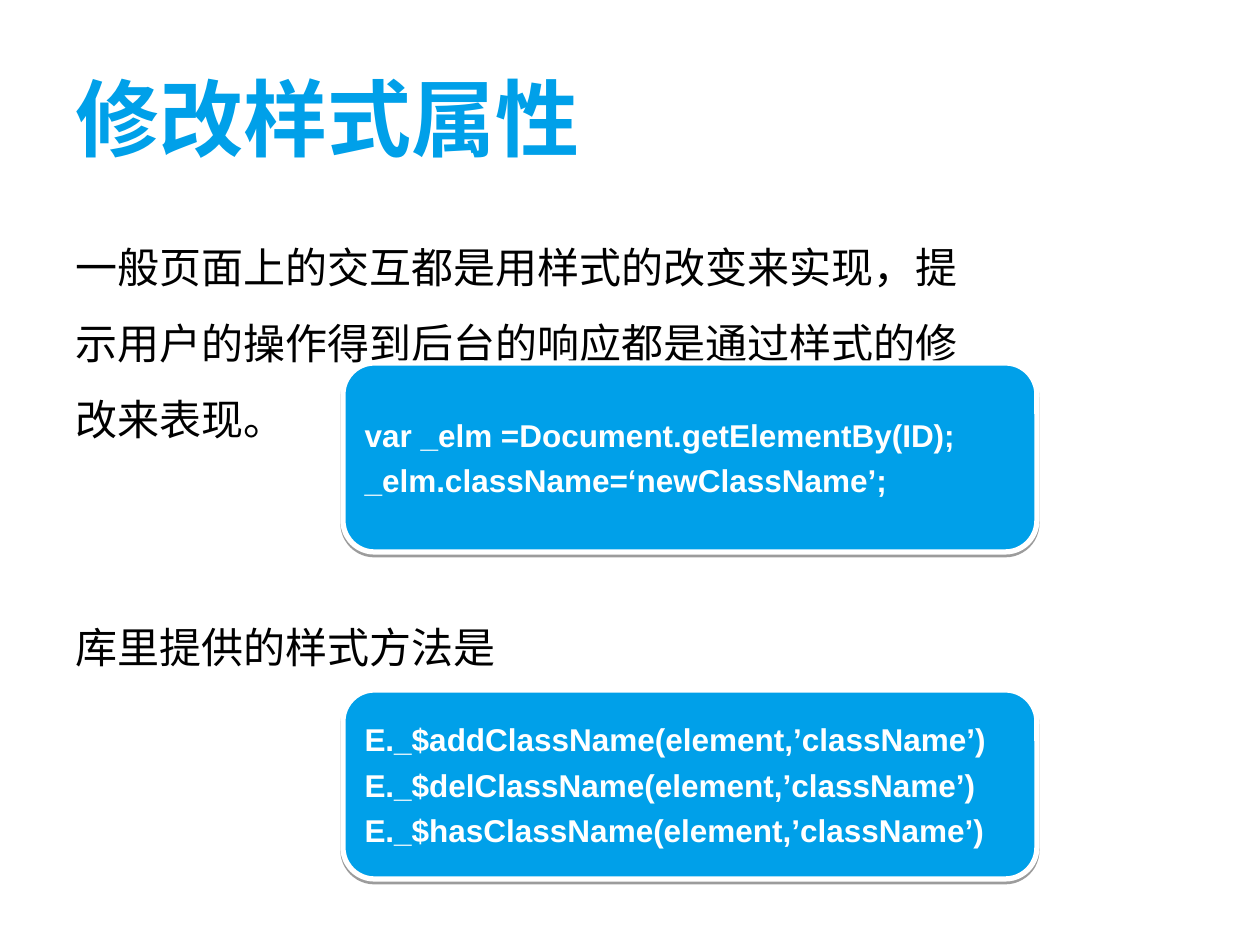
from lxml.etree import SubElement
from pptx import Presentation
from pptx.dml.color import RGBColor
from pptx.enum.shapes import MSO_SHAPE
from pptx.enum.text import MSO_ANCHOR, PP_ALIGN
from pptx.oxml.ns import qn
from pptx.util import Emu, Pt

COLORS = {"blue": "00A0E9", "white": "FFFFFF", "black": "000000"}
FONT = "Arial"

TITLE = "修改样式属性"
# (text, space before in points)
BODY = [
    ("一般页面上的交互都是用样式的改变来实现，提", 0),
    ("示用户的操作得到后台的响应都是通过样式的修", 6),
    ("改来表现。", 6),
    ("库里提供的样式方法是", 93),
]
# (top in px, code lines)
CODE_BOXES = [
    (363, ["var _elm =Document.getElementBy(ID);",
           "_elm.className=‘newClassName’;"]),
    (690, ["E._$addClassName(element,’className’)",
           "E._$delClassName(element,’className’)",
           "E._$hasClassName(element,’className’)"]),
]
CODE_LEFT, CODE_WIDTH, CODE_HEIGHT = 343, 694, 189


def px(n):
    return Emu(round(n * 914400 / 126))


def rgb(name):
    return RGBColor.from_string(COLORS[name])


def write(tf, lines, size, color, bold=False, spacing=None,
          anchor=MSO_ANCHOR.TOP):
    """Fill a text frame with (text, space before) lines."""
    tf.word_wrap = True
    tf.vertical_anchor = anchor
    for i, (text, before) in enumerate(lines):
        p = tf.paragraphs[0] if i == 0 else tf.add_paragraph()
        p.alignment = PP_ALIGN.LEFT
        p.space_before = Pt(before)
        if spacing:
            p.line_spacing = spacing
        r = p.add_run()
        r.text = text
        r.font.size = Pt(size)
        r.font.bold = bold
        r.font.color.rgb = rgb(color)
        r.font.name = FONT
        SubElement(r.font._element, qn("a:ea"), typeface=FONT)


def add_shadow(sp):
    sp.shadow.inherit = False
    effects = sp._element.spPr.find(qn("a:effectLst"))
    shadow = SubElement(effects, qn("a:outerShdw"), dist=str(Pt(1.6)),
                        dir="5400000", rotWithShape="0")
    clr = SubElement(shadow, qn("a:srgbClr"), val=COLORS["black"])
    SubElement(clr, qn("a:alpha"), val="38000")


def add_code_box(s, top, lines):
    sp = s.shapes.add_shape(MSO_SHAPE.ROUNDED_RECTANGLE, px(CODE_LEFT), px(top),
                            px(CODE_WIDTH), px(CODE_HEIGHT))
    sp.fill.solid()
    sp.fill.fore_color.rgb = rgb("blue")
    sp.line.color.rgb = rgb("white")
    sp.line.width = Pt(3)
    add_shadow(sp)
    spaced = [(text, 4.5 if i else 0) for i, text in enumerate(lines)]
    write(sp.text_frame, spaced, 18, "white", bold=True,
          anchor=MSO_ANCHOR.MIDDLE)


def main():
    prs = Presentation()
    prs.slide_width, prs.slide_height = px(1260), px(945)
    s = prs.slides.add_slide(prs.slide_layouts[5])

    title = s.shapes.title
    title.left, title.top, title.width, title.height = map(px, (63, 38, 1134, 158))
    write(title.text_frame, [(TITLE, 0)], 48, "blue", bold=True,
          anchor=MSO_ANCHOR.MIDDLE)

    body = s.shapes.add_textbox(*map(px, (63, 220, 1134, 624)))
    write(body.text_frame, BODY, 24, "black", spacing=1.3)

    for top, lines in CODE_BOXES:
        add_code_box(s, top, lines)

    prs.save("out.pptx")


if __name__ == "__main__":
    main()
